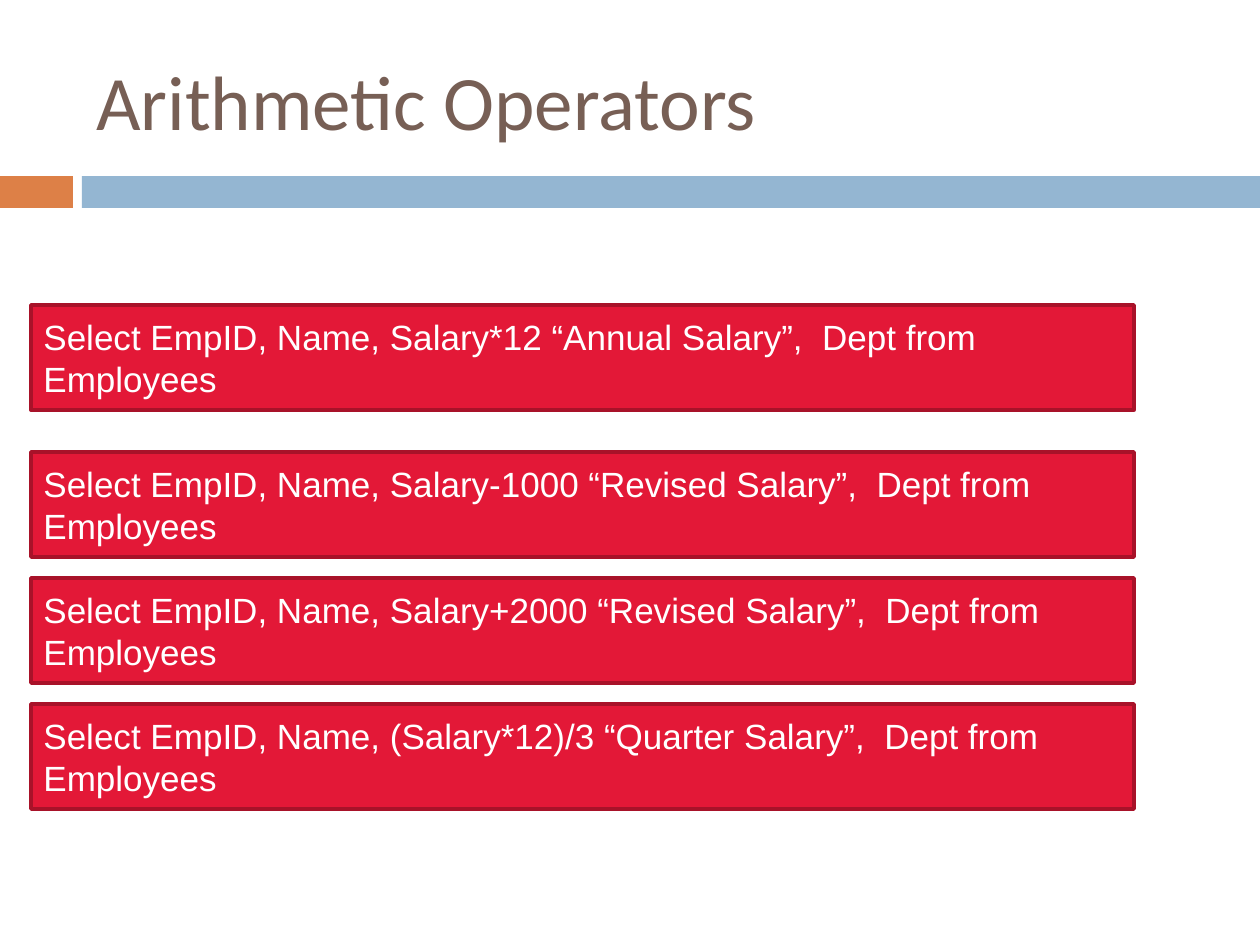
"""Build a slide of SQL queries that use arithmetic operators."""
import pptx
import pptx.util
import pptx.dml.color
import pptx.enum.shapes
import pptx.enum.text

RGBColor = pptx.dml.color.RGBColor
ORANGE = RGBColor(0xDD, 0x80, 0x47)
BLUE = RGBColor(0x94, 0xB6, 0xD2)
BROWN = RGBColor(0x77, 0x5F, 0x55)
RED = RGBColor(0xE3, 0x18, 0x37)
DARK_RED = RGBColor(0xA8, 0x12, 0x29)
WHITE = RGBColor(0xFF, 0xFF, 0xFF)

TITLE = "Arithmetic Operators"
QUERIES = [
    (305, "Salary*12 “Annual Salary”"),
    (452, "Salary-1000 “Revised Salary”"),
    (578, "Salary+2000 “Revised Salary”"),
    (704, "(Salary*12)/3 “Quarter Salary”"),
]
BANDS = [(0, 73, ORANGE), (82, 1178, BLUE)]
BAND_TOP, BAND_HEIGHT = 176, 32
QUERY_LEFT, QUERY_WIDTH, QUERY_HEIGHT = 31, 1103, 105
PAGE_WIDTH, PAGE_HEIGHT = 1260, 945
EMU_PER_PX = 914400 / 126


def emu(*lengths):
    return [round(length * EMU_PER_PX) for length in lengths]


def add_bar(page, place, fill, line=None):
    bar = page.shapes.add_shape(pptx.enum.shapes.MSO_SHAPE.RECTANGLE, *emu(*place))
    bar.shadow.inherit = False
    bar.fill.solid()
    bar.fill.fore_color.rgb = fill
    if line is None:
        bar.line.fill.background()
    else:
        bar.line.color.rgb = line
        bar.line.width = pptx.util.Pt(2)
    return bar


def write(box, text, *, font, size, color):
    frame = box.text_frame
    frame.word_wrap = True
    frame.vertical_anchor = pptx.enum.text.MSO_ANCHOR.MIDDLE
    para = frame.paragraphs[0]
    para.alignment = pptx.enum.text.PP_ALIGN.LEFT
    span = para.add_run()
    span.text = text
    span.font.name = font
    span.font.size = pptx.util.Pt(size)
    span.font.color.rgb = color


def main():
    deck = pptx.Presentation()
    deck.slide_width, deck.slide_height = emu(PAGE_WIDTH, PAGE_HEIGHT)
    page = deck.slides.add_slide(deck.slide_layouts[6])

    for left, width, color in BANDS:
        add_bar(page, (left, BAND_TOP, width, BAND_HEIGHT), color)

    title = page.shapes.add_textbox(*emu(84, 32, 1124, 136))
    write(title, TITLE, font="Calibri", size=44, color=BROWN)

    for top, column in QUERIES:
        box = add_bar(page, (QUERY_LEFT, top, QUERY_WIDTH, QUERY_HEIGHT), RED, DARK_RED)
        query = f"Select EmpID, Name, {column},  Dept from Employees"
        write(box, query, font="Arial", size=20, color=WHITE)

    deck.save("out.pptx")


if __name__ == "__main__":
    main()
